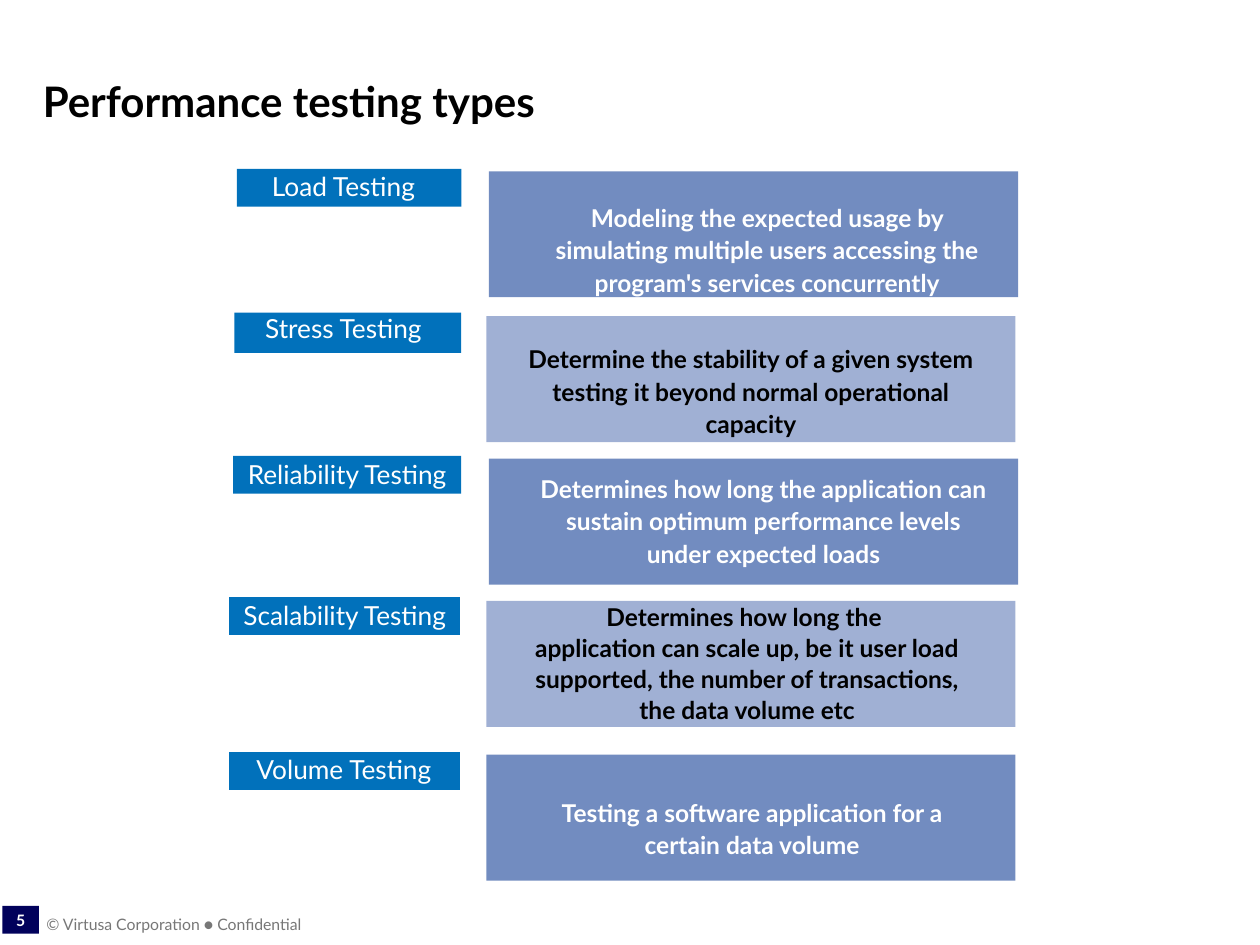
from dataclasses import dataclass

import pptx
import pptx.dml.color
import pptx.enum.shapes
import pptx.enum.text
import pptx.util

Pt = pptx.util.Pt
Align = pptx.enum.text.PP_ALIGN
Anchor = pptx.enum.text.MSO_ANCHOR


@dataclass(frozen=True)
class Theme:
    font: str = "Lato"
    black: str = "000000"
    white: str = "FFFFFF"
    gray: str = "777777"
    navy: str = "01015B"
    tag: str = "0171BB"
    dark: str = "728CC0"
    light: str = "A0B0D4"
    title_size: float = 24
    tag_size: float = 15
    body_size: float = 14
    footer_size: float = 9


@dataclass(frozen=True)
class Box:
    x: float
    y: float
    w: float
    h: float


@dataclass(frozen=True)
class Style:
    size: float
    color: str
    bold: bool = False
    align: Align = Align.CENTER
    anchor: Anchor = Anchor.TOP
    inset: tuple[float, float] = (7.2, 3.6)
    wrap: bool = True
    spacing: float = 1.0


@dataclass(frozen=True)
class TestType:
    name: str
    tag: Box
    name_box: Box
    panel_x: float
    panel_y: float
    fill: str
    color: str
    text_box: Box
    lines: tuple[str, ...]
    spacing: float = 1.1


THEME = Theme()
PANEL_W, PANEL_H = 302.4, 72
NAME_H, TEXT_W = 25.2, 277.9

TEST_TYPES = [
    TestType("Load Testing", Box(135.4, 96.5, 128.2, 21.6), Box(146.2, 93.6, 100.1, NAME_H),
             279.4, 97.9, THEME.dark, THEME.white, Box(299.5, 110.9, TEXT_W, 62.6),
             ("Modeling the expected usage by simulating multiple users accessing "
              "the program's services concurrently",)),
    TestType("Stress Testing", Box(133.9, 178.6, 129.6, 23), Box(142.6, 175, 107.3, NAME_H),
             277.9, 180.7, THEME.light, THEME.black, Box(290.2, 191.5, TEXT_W, 62.6),
             ("Determine the stability of a given system testing it beyond normal "
              "operational capacity",)),
    TestType("Reliability Testing", Box(133.2, 260.6, 130.3, 21.6), Box(130.3, 258.5, 136.1, NAME_H),
             279.4, 262.1, THEME.dark, THEME.white, Box(297.4, 265.7, TEXT_W, 62.6),
             ("Determines how long the application can sustain optimum performance "
              "levels under expected loads",)),
    TestType("Scalability Testing", Box(131, 341.3, 131.8, 21.6), Box(128.2, 339.1, 137.5, NAME_H),
             277.9, 343.4, THEME.light, THEME.black, Box(288, 339.8, TEXT_W, 77.8),
             ("Determines how long the ",
              "application can scale up, be it user load supported, the number of "
              "transactions, the data volume etc"), 1.05),
    TestType("Volume Testing", Box(131, 429.8, 131.8, 21.6), Box(137.5, 427, 118.1, NAME_H),
             277.9, 431.3, THEME.dark, THEME.white, Box(290.9, 450.7, TEXT_W, 43.9),
             ("Testing a software application for a certain data volume",)),
]


def rgb(value: str) -> pptx.dml.color.RGBColor:
    return pptx.dml.color.RGBColor.from_string(value)


def write(sp, lines: tuple[str, ...], style: Style) -> None:
    tf = sp.text_frame
    tf.word_wrap = style.wrap
    tf.vertical_anchor = style.anchor
    tf.margin_left = tf.margin_right = Pt(style.inset[0])
    tf.margin_top = tf.margin_bottom = Pt(style.inset[1])
    for i, line in enumerate(lines):
        p = tf.add_paragraph() if i else tf.paragraphs[0]
        p.alignment = style.align
        p.line_spacing = style.spacing
        r = p.add_run()
        r.text = line
        r.font.name = THEME.font
        r.font.size = Pt(style.size)
        r.font.bold = style.bold
        r.font.color.rgb = rgb(style.color)


def add_rect(s, box: Box, fill: str):
    sp = s.shapes.add_shape(pptx.enum.shapes.MSO_SHAPE.RECTANGLE,
                            Pt(box.x), Pt(box.y), Pt(box.w), Pt(box.h))
    sp.shadow.inherit = False
    sp.fill.solid()
    sp.fill.fore_color.rgb = rgb(fill)
    sp.line.fill.background()
    return sp


def add_text(s, box: Box, lines: tuple[str, ...], style: Style) -> None:
    write(s.shapes.add_textbox(Pt(box.x), Pt(box.y), Pt(box.w), Pt(box.h)), lines, style)


def add_test_type(s, t: TestType) -> None:
    add_rect(s, t.tag, THEME.tag)
    add_text(s, t.name_box, (t.name,), Style(THEME.tag_size, THEME.white, wrap=False))
    add_rect(s, Box(t.panel_x, t.panel_y, PANEL_W, PANEL_H), t.fill)
    add_text(s, t.text_box, t.lines,
             Style(THEME.body_size, t.color, bold=True, spacing=t.spacing))


def main() -> None:
    prs = pptx.Presentation()
    prs.slide_width, prs.slide_height = Pt(720), Pt(540)
    s = prs.slides.add_slide(prs.slide_layouts[6])

    # Footer: page number and copyright line
    number = add_rect(s, Box(1.4, 517.7, 20.9, 15.8), THEME.navy)
    write(number, ("5",), Style(THEME.footer_size, THEME.white, bold=True,
                                anchor=Anchor.MIDDLE, inset=(1.4, 1.4)))
    add_text(s, Box(25.2, 522.7, 148.3, 10.8), ("© Virtusa Corporation ● Confidential",),
             Style(THEME.footer_size, THEME.gray, inset=(0, 0), wrap=False))

    # Title
    add_text(s, Box(24.5, 30.2, 671.8, 41.8), ("Performance testing types",),
             Style(THEME.title_size, THEME.black, bold=True, align=Align.LEFT,
                   anchor=Anchor.BOTTOM, inset=(0, 0)))

    # Test types with their descriptions
    for t in TEST_TYPES:
        add_test_type(s, t)

    prs.save("out.pptx")


if __name__ == "__main__":
    main()
